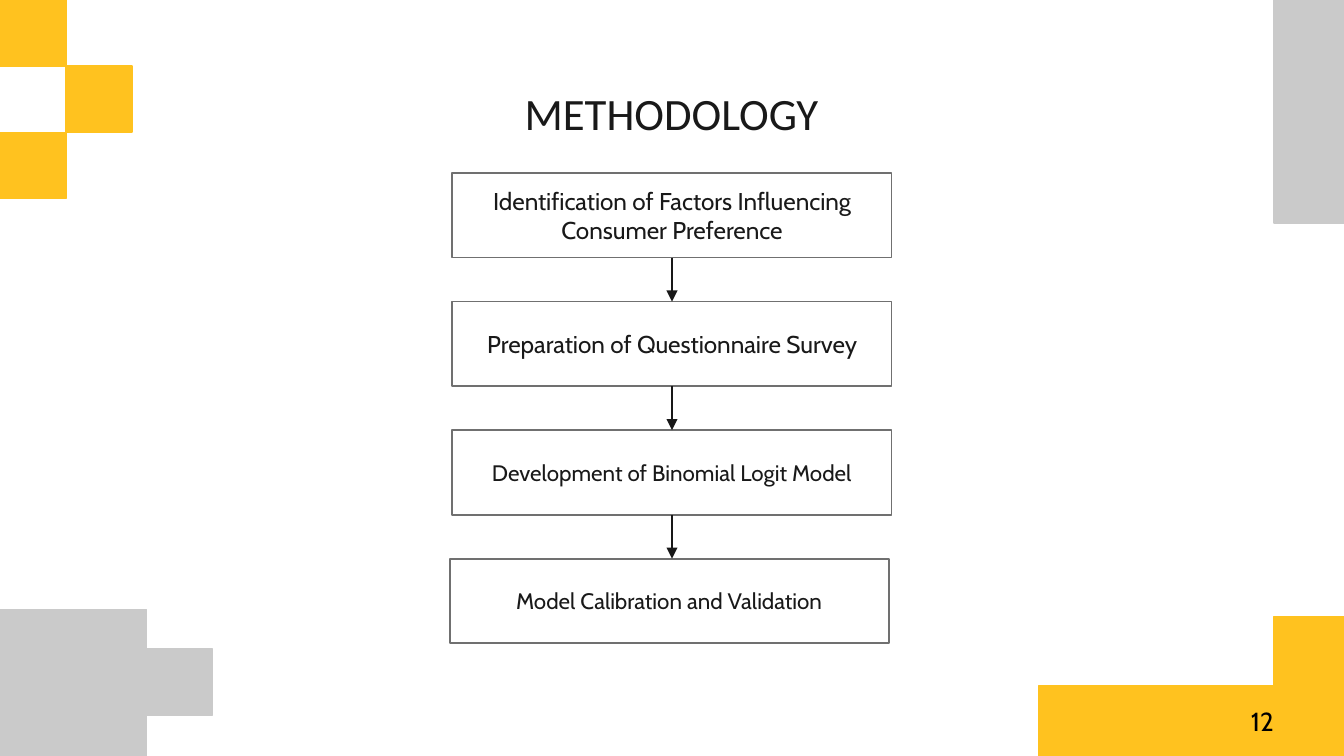
from lxml.etree import SubElement
from pptx import Presentation
from pptx.dml.color import RGBColor
from pptx.enum.shapes import MSO_CONNECTOR as Link, MSO_SHAPE as Shape
from pptx.enum.text import MSO_ANCHOR as Anchor, MSO_AUTO_SIZE as AutoSize, PP_ALIGN as Align
from pptx.oxml.ns import qn
from pptx.util import Cm, Pt

COLORS = {
    "white": "FFFFFF", "yellow": "FFC21F", "gray": "CACACA",
    "border": "707070", "arrow": "181818", "ink": "191919", "black": "000000",
}
PAGE_WIDTH, PAGE_HEIGHT = 25.4, 14.29
STEPS = [
    ("Identification of Factors Influencing Consumer Preference", 13),
    ("Preparation of Questionnaire Survey", 13),
    ("Development of Binomial Logit Model", 12),
    ("Model Calibration and Validation", 12),
]


def color(name):
    return RGBColor.from_string(COLORS[name])


def write(frame, text, size, font="Cabin", ink="ink", align=Align.CENTER, anchor=Anchor.MIDDLE):
    frame.word_wrap = True
    frame.auto_size = AutoSize.NONE
    frame.vertical_anchor = anchor
    para = frame.paragraphs[0]
    para.alignment = align
    span = para.add_run()
    span.text = text
    span.font.size = Pt(size)
    span.font.name = font
    span.font.color.rgb = color(ink)


def add_block(page, box, fill, border, weight=0.75):
    block = page.shapes.add_shape(Shape.RECTANGLE, *map(Cm, box))
    block.shadow.inherit = False
    block.fill.solid()
    block.fill.fore_color.rgb = color(fill)
    block.line.color.rgb = color(border)
    block.line.width = Pt(weight)
    return block


def add_corners(page, box):
    left, top, width, height = box
    right, bottom = left + width, top + height
    unit, strip, base = 1.25, 1.32, 2.77
    blocks = [
        # Bottom left
        ("gray", left, bottom - base, base, base),
        ("gray", left + base, bottom - 2.02, unit, unit),
        # Bottom right
        ("yellow", right - 5.77, bottom - strip, 5.77, strip),
        ("yellow", right - strip, bottom - 2 * strip, strip, strip),
        # Top left
        *(("yellow", left + col * unit, top + row * unit, unit, unit)
          for row, col in enumerate((0, 1, 0))),
        # Top right
        ("gray", right - strip, top, strip, 4.22),
    ]
    for fill, *place in blocks:
        add_block(page, place, fill, fill)


def add_title(page, box):
    title = page.shapes.title
    title.left, title.top, title.width, title.height = map(Cm, box)
    frame = title.text_frame
    frame.margin_left = frame.margin_right = frame.margin_top = frame.margin_bottom = Cm(0.25)
    write(frame, "METHODOLOGY", 24, font="Calibri", anchor=Anchor.TOP)


def add_arrow(page, upper, lower):
    middle = upper.left + upper.width // 2
    arrow = page.shapes.add_connector(
        Link.STRAIGHT, middle, upper.top + upper.height, middle, lower.top)
    arrow.begin_connect(upper, 2)
    if lower.left == upper.left:
        arrow.end_connect(lower, 0)
    arrow.line.color.rgb = color("arrow")
    arrow.line.width = Pt(0.75)
    SubElement(arrow.line._get_or_add_ln(), qn("a:tailEnd"), type="triangle")
    SubElement(arrow._element.spPr, qn("a:effectLst"))


def add_flow(page, box):
    left, top, width, height = box
    step_height = 1.6
    pitch = (height - step_height) / (len(STEPS) - 1)
    steps = []
    for index, (text, size) in enumerate(STEPS):
        # The last step sits slightly to the left
        shift = 0.05 if index == len(STEPS) - 1 else 0
        place = (left - shift, top + index * pitch, width, step_height)
        step = add_block(page, place, "white", "border", 1)
        write(step.text_frame, text, size)
        steps.append(step)
    for upper, lower in zip(steps, steps[1:]):
        add_arrow(page, upper, lower)


def add_page_number(page, box):
    number = page.shapes.add_textbox(*map(Cm, box))
    write(number.text_frame, "12", 14, ink="black", align=Align.LEFT, anchor=Anchor.TOP)


def main():
    deck = Presentation()
    deck.slide_width, deck.slide_height = Cm(PAGE_WIDTH), Cm(PAGE_HEIGHT)
    page = deck.slides.add_slide(deck.slide_layouts[5])
    add_corners(page, (0, 0, PAGE_WIDTH, PAGE_HEIGHT))
    add_title(page, (1.98, 1.37, 21.42, 1.6))
    add_flow(page, (8.55, 3.27, 8.3, 8.89))
    add_page_number(page, (23.39, 13.21, 2.46, 0.86))
    deck.save("out.pptx")


if __name__ == "__main__":
    main()
